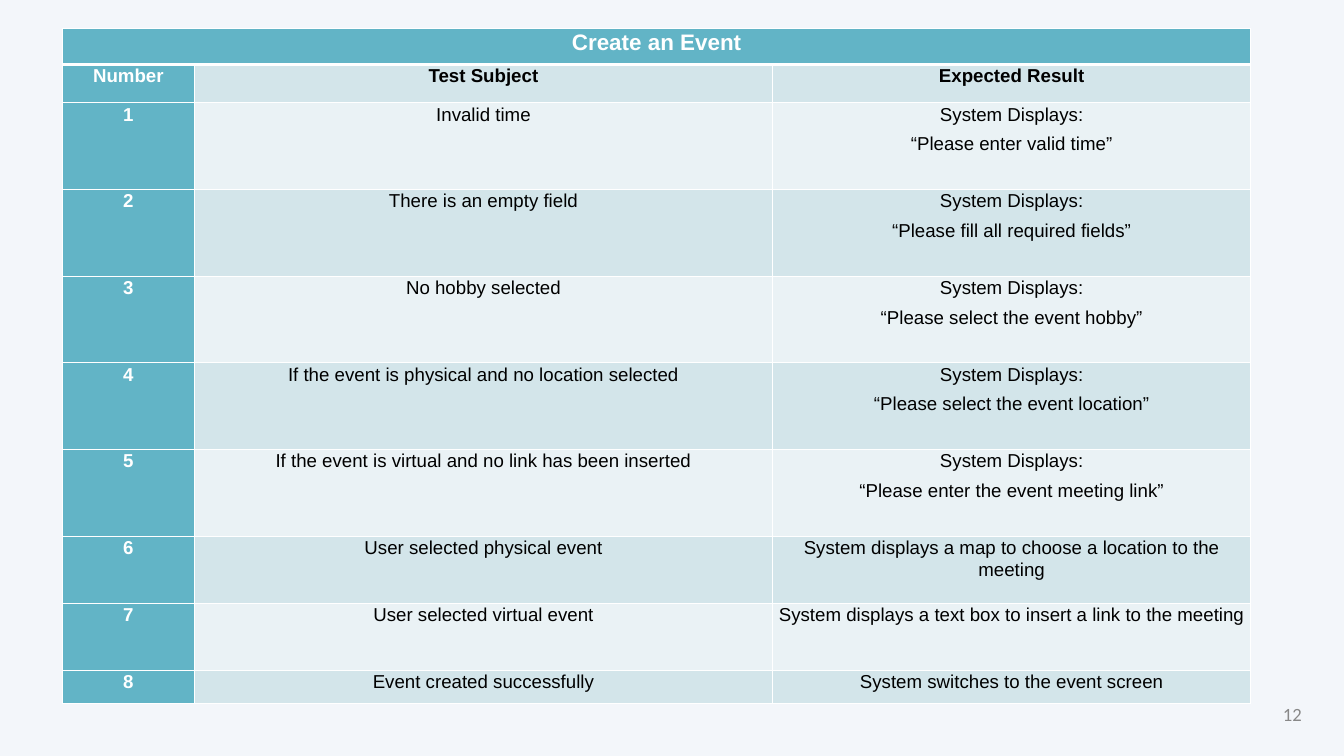
from lxml.etree import SubElement
from pptx import Presentation
from pptx.dml.color import RGBColor
from pptx.enum.text import MSO_ANCHOR, PP_ALIGN
from pptx.oxml.ns import qn
from pptx.util import Inches, Pt

TEAL, PALE, MIST = "62B4C6", "D3E5EA", "EAF2F5"
WHITE, BLACK = "FFFFFF", "000000"

TITLE = "Create an Event"
HEADS = ("Number", "Test Subject", "Expected Result")
ERROR = "System Displays:\n“Please {}”"
TESTS = [
    ("Invalid time", ERROR.format("enter valid time")),
    ("There is an empty field", ERROR.format("fill all required fields")),
    ("No hobby selected", ERROR.format("select the event hobby")),
    ("If the event is physical and no location selected",
     ERROR.format("select the event location")),
    ("If the event is virtual and no link has been inserted",
     ERROR.format("enter the event meeting link")),
    ("User selected physical event",
     "System displays a map to choose a location to the meeting"),
    ("User selected virtual event",
     "System displays a text box to insert a link to the meeting"),
    ("Event created successfully", "System switches to the event screen"),
]
WIDTHS = [1.96, 8.61, 7.11]
HEIGHTS = [0.53, 0.57] + [1.29] * 5 + [1, 1, 0.49]


def rgb(code):
    return RGBColor.from_string(code)


def style(para, size, color, bold=False, font="Arial"):
    for run in para.runs:
        run.font.name = font
        run.font.size = Pt(size)
        run.font.bold = bold
        run.font.color.rgb = rgb(color)


def set_edges(cell, top=1, bottom=1):
    """Draw white borders; widths are in points."""
    props = cell._tc.get_or_add_tcPr()
    edges = {"L": 1, "R": 1, "T": top, "B": bottom}
    for place, (side, width) in enumerate(edges.items()):
        line = SubElement(props, qn(f"a:ln{side}"), w=str(Pt(width)))
        fill = SubElement(line, qn("a:solidFill"))
        SubElement(fill, qn("a:srgbClr"), val=WHITE)
        props.insert(place, line)


def fill_cell(cell, text, fill, color=BLACK, size=20, bold=False):
    cell.margin_left = cell.margin_right = Inches(0.07)
    cell.margin_top = cell.margin_bottom = 0
    cell.fill.solid()
    cell.fill.fore_color.rgb = rgb(fill)
    cell.text_frame.text = text
    for para in cell.text_frame.paragraphs:
        para.alignment = PP_ALIGN.CENTER
        para.line_spacing = 1.07
        para.space_after = Pt(8)
        style(para, size, color, bold)


def add_tests(slide):
    frame = slide.shapes.add_table(
        len(HEIGHTS), len(WIDTHS), Inches(0.93), Inches(0.43),
        Inches(sum(WIDTHS)), Inches(sum(HEIGHTS)))
    table = frame.table
    for col, width in zip(table.columns, WIDTHS):
        col.width = Inches(width)
    for row, height in zip(table.rows, HEIGHTS):
        row.height = Inches(height)

    # Title row across all columns
    table.cell(0, 0).merge(table.cell(0, 2))
    fill_cell(table.cell(0, 0), TITLE, TEAL, WHITE, 24, True)
    for cell in table.rows[0].cells:
        set_edges(cell, bottom=3)

    # Column heads, then numbered tests in alternating bands
    lines = [HEADS] + [(str(n), *test) for n, test in enumerate(TESTS, 1)]
    for r, line in enumerate(lines, 1):
        band = PALE if r % 2 else MIST
        for c, text in enumerate(line):
            cell = table.cell(r, c)
            fill, color = (band, BLACK) if c else (TEAL, WHITE)
            fill_cell(cell, text, fill, color, bold=r == 1 or c == 0)
            set_edges(cell, top=3 if r == 1 else 1)


def add_number(slide, text):
    box = slide.shapes.add_textbox(
        Inches(17.14), Inches(10.42), Inches(2.33), Inches(0.4))
    frame = box.text_frame
    frame.word_wrap = True
    frame.vertical_anchor = MSO_ANCHOR.MIDDLE
    frame.text = text
    para = frame.paragraphs[0]
    para.alignment = PP_ALIGN.RIGHT
    style(para, 20, "888888", font="Calibri")


def main():
    deck = Presentation()
    deck.slide_width = Inches(20)
    deck.slide_height = Inches(11.25)
    slide = deck.slides.add_slide(deck.slide_layouts[6])
    slide.background.fill.solid()
    slide.background.fill.fore_color.rgb = rgb("F3F6FA")
    add_tests(slide)
    add_number(slide, "12")
    deck.save("out.pptx")


if __name__ == "__main__":
    main()
